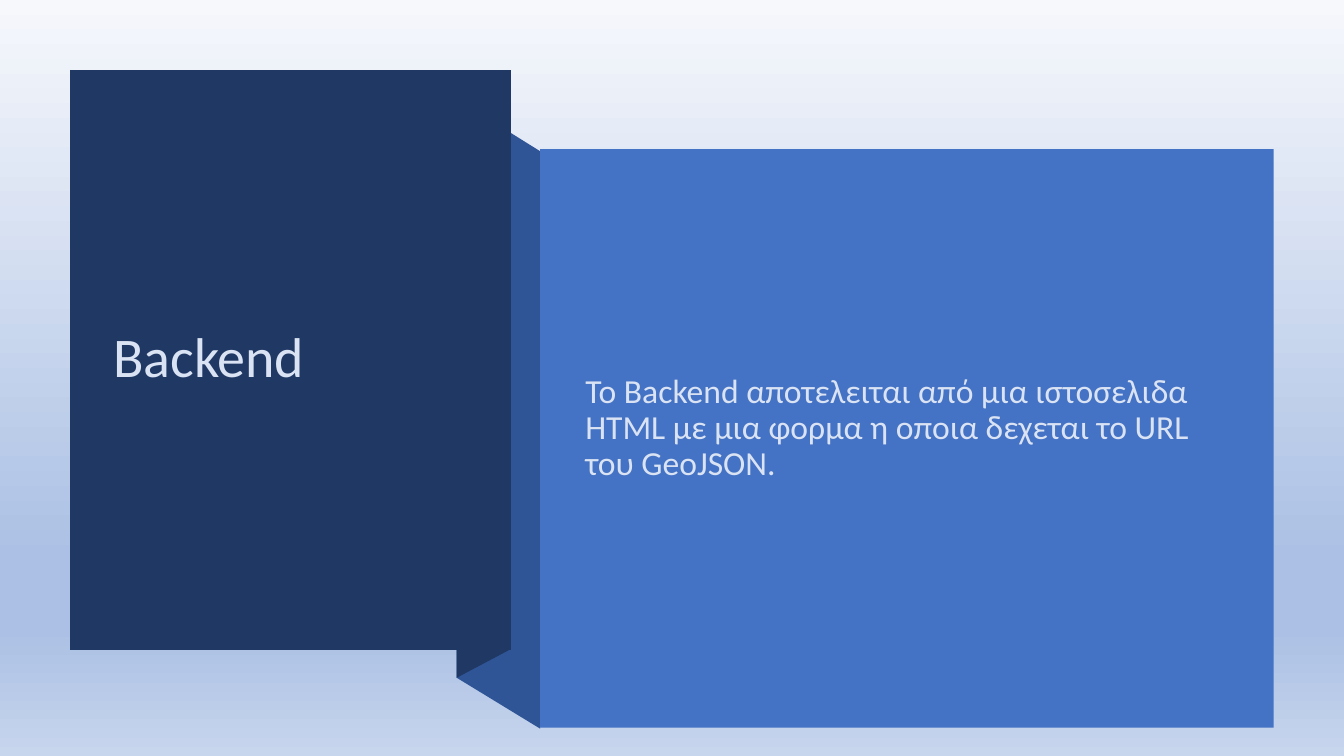
from lxml import etree
from pptx import Presentation
from pptx.dml.color import RGBColor
from pptx.enum.shapes import MSO_SHAPE
from pptx.enum.text import MSO_ANCHOR, MSO_AUTO_SIZE, PP_ALIGN
from pptx.oxml.ns import qn
from pptx.util import Cm, Pt

RECTANGLE = MSO_SHAPE.RECTANGLE
MIDDLE = MSO_ANCHOR.MIDDLE
NO_AUTOFIT = MSO_AUTO_SIZE.NONE
LEFT = PP_ALIGN.LEFT

NAVY = RGBColor(0x20, 0x38, 0x64)
FOLD_BLUE = RGBColor(0x2F, 0x55, 0x97)
PANEL_BLUE = RGBColor(0x44, 0x72, 0xC4)
PALE_BLUE = RGBColor(0xDA, 0xE3, 0xF3)
SKY_TOP = RGBColor(0xF6, 0xF8, 0xFC)
SKY_MIDDLE = RGBColor(0xAB, 0xC0, 0xE4)
SKY_BOTTOM = RGBColor(0xC7, 0xD5, 0xED)

FOLD_LEFT, FOLD_RIGHT, TITLE_LEFT, TITLE_RIGHT = 11.51, 13.61, 1.76, 12.87
TITLE_TOP, TITLE_BOTTOM = 1.77, 16.38


def paint(shape, color):
    shape.fill.solid()
    shape.fill.fore_color.rgb = color
    shape.line.fill.background()
    shape.shadow.inherit = False


def write(shape, text, size):
    frame = shape.text_frame
    frame.text = text
    frame.word_wrap = True
    frame.auto_size = NO_AUTOFIT
    frame.vertical_anchor = MIDDLE
    paragraph = frame.paragraphs[0]
    paragraph.alignment = LEFT
    paragraph.line_spacing = 0.9
    paragraph.font.name = "Calibri"
    paragraph.font.size = Pt(size)
    paragraph.font.color.rgb = PALE_BLUE


prs = Presentation()
prs.slide_width, prs.slide_height = Cm(33.87), Cm(19.05)
slide = prs.slides.add_slide(prs.slide_layouts[5])
shapes = slide.shapes

sky = slide.background.fill
sky.gradient()
sky.gradient_angle = 270
stops = slide.background._cSld.find(".//" + qn("a:gsLst"))
for stop in list(stops):
    stops.remove(stop)
for percent, color in [(0, SKY_TOP), (74, SKY_MIDDLE), (83, SKY_MIDDLE), (100, SKY_BOTTOM)]:
    stop = etree.SubElement(stops, qn("a:gs"), pos=str(percent * 1000))
    etree.SubElement(stop, qn("a:srgbClr"), val=str(color))

ribbon = [
    (FOLD_BLUE, [(FOLD_RIGHT, 18.36), (FOLD_LEFT, 17.08), (FOLD_LEFT, 2.5), (FOLD_RIGHT, 3.81)]),
    (NAVY, [(TITLE_RIGHT, 16.36), (FOLD_LEFT, 17.08), (FOLD_LEFT, 2.5), (TITLE_RIGHT, TITLE_TOP)]),
    (NAVY, [(TITLE_LEFT, TITLE_TOP), (TITLE_RIGHT, TITLE_TOP),
            (TITLE_RIGHT, TITLE_BOTTOM), (TITLE_LEFT, TITLE_BOTTOM)]),
]
for color, corners in ribbon:
    points = [(Cm(x), Cm(y)) for x, y in corners]
    outline = shapes.build_freeform(*points[0])
    outline.add_line_segments(points[1:], close=True)
    paint(outline.convert_to_shape(), color)

title = shapes.title
title.left, title.top, title.width, title.height = Cm(2.6), Cm(2.72), Cm(9.42), Cm(12.67)
write(title, "Backend", 40)
shapes._spTree.append(title._element)

panel = shapes.add_shape(RECTANGLE, Cm(FOLD_RIGHT), Cm(3.76), Cm(18.49), Cm(14.58))
paint(panel, PANEL_BLUE)

description = shapes.add_textbox(Cm(14.5), Cm(4.78), Cm(16.54), Cm(12.04))
write(description, "Το Backend αποτελειται από μια ιστοσελιδα HTML με μια φορμα "
                   "η οποια δεχεται το URL του GeoJSON.", 24)

prs.save("out.pptx")
